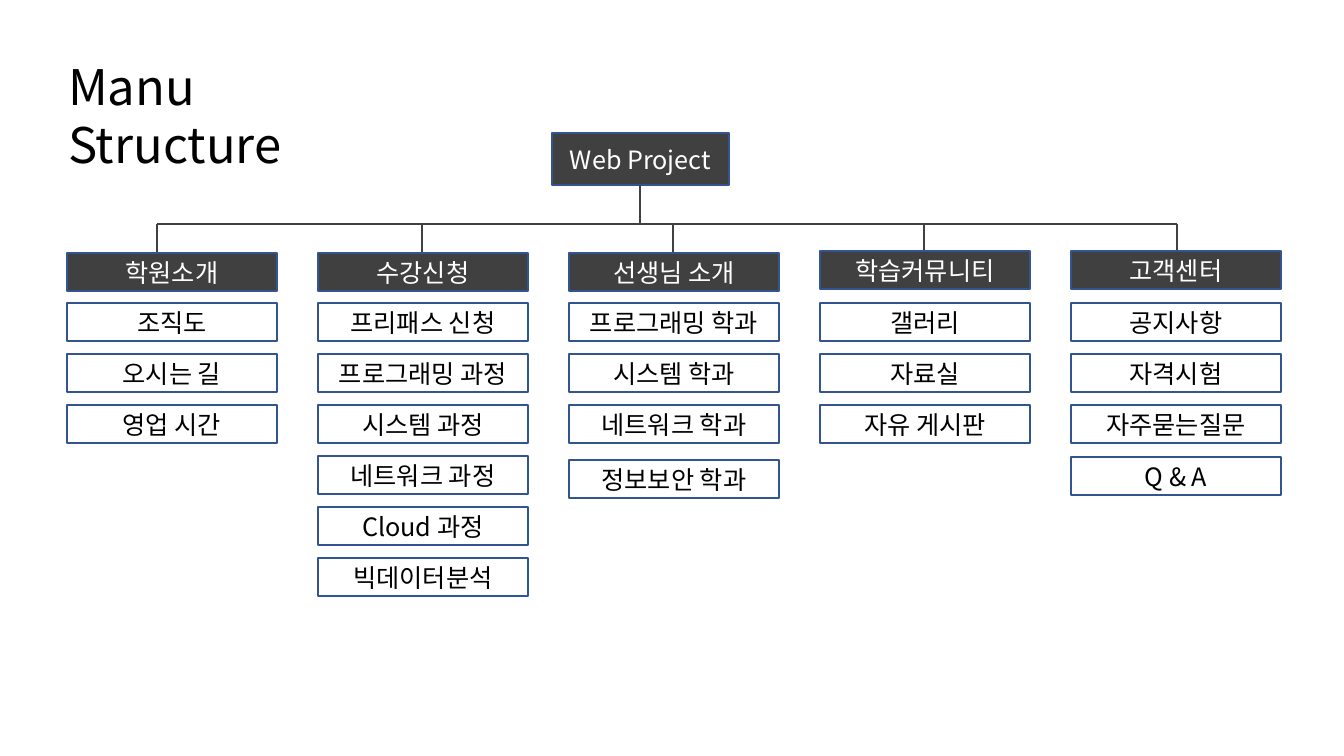
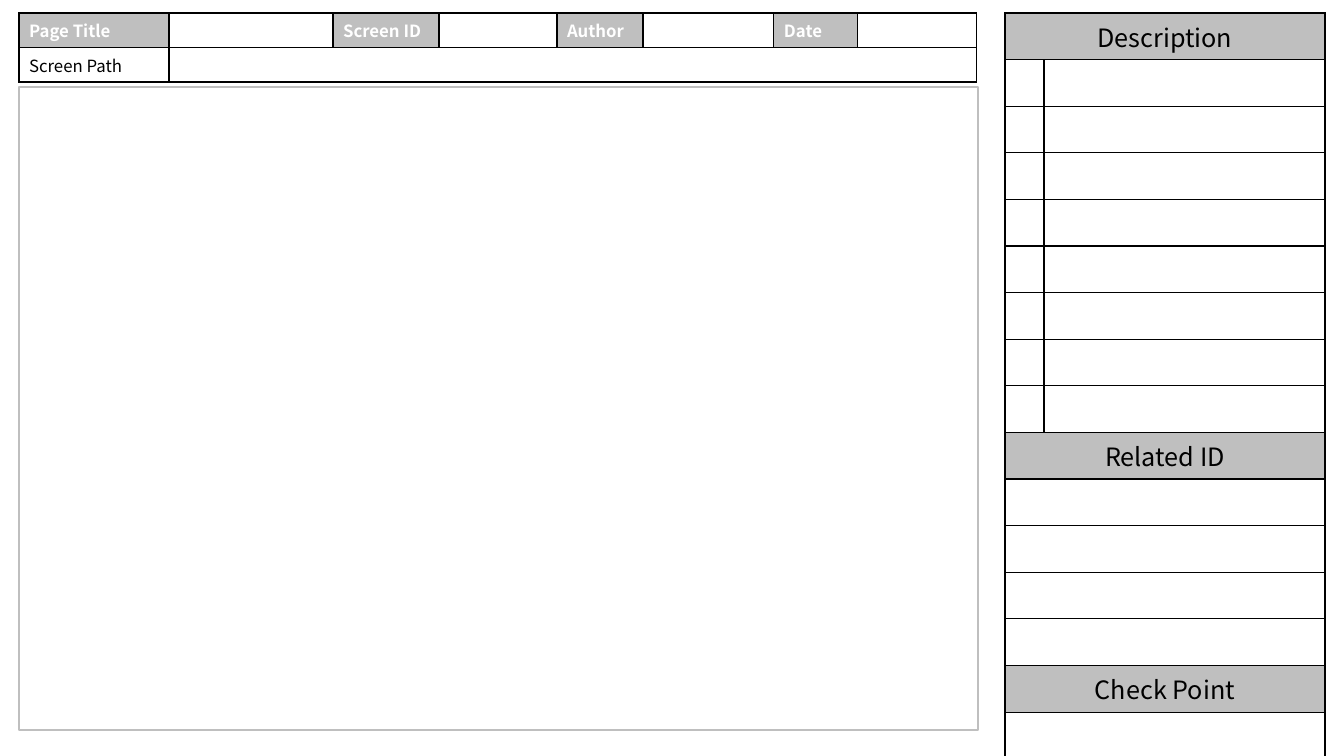
from lxml import etree
from pptx import Presentation
from pptx.dml.color import RGBColor
from pptx.enum.shapes import MSO_CONNECTOR, MSO_SHAPE
from pptx.enum.text import MSO_ANCHOR, MSO_AUTO_SIZE, PP_ALIGN
from pptx.oxml.ns import qn
from pptx.util import Emu, Pt

RECT = MSO_SHAPE.RECTANGLE
LINE = MSO_CONNECTOR.STRAIGHT
TOP, MIDDLE = MSO_ANCHOR.TOP, MSO_ANCHOR.MIDDLE
LEFT, CENTER = PP_ALIGN.LEFT, PP_ALIGN.CENTER
NO_FIT = MSO_AUTO_SIZE.NONE

FONT = "Noto Sans CJK KR"
BLACK = RGBColor(0x00, 0x00, 0x00)
WHITE = RGBColor(0xFF, 0xFF, 0xFF)
DARK = RGBColor(0x40, 0x40, 0x40)
GRAY = RGBColor(0xBF, 0xBF, 0xBF)
BLUE = RGBColor(0x32, 0x54, 0x91)

# Menu columns: name, stem x, head top, items
MENU = [
    ("학원소개", 157, 253, ["조직도", "오시는 길", "영업 시간"]),
    ("수강신청", 422, 253, ["프리패스 신청", "프로그래밍 과정", "시스템 과정",
                        "네트워크 과정", "Cloud 과정", "빅데이터분석"]),
    ("선생님 소개", 673, 253, ["프로그래밍 학과", "시스템 학과",
                          "네트워크 학과", "정보보안 학과"]),
    ("학습커뮤니티", 924, 251, ["갤러리", "자료실", "자유 게시판"]),
    ("고객센터", 1177, 251, ["공지사항", "자격시험", "자주묻는질문", "Q & A"]),
]
SHIFT = {"정보보안 학과": 4, "Q & A": 1}  # items set a little lower
COL_X, COL_GAP, COL_W = 67, 251, 210
ITEM_Y, ITEM_GAP, ITEM_H = 303, 51, 38
BAR_Y = 224

# Form tables
INFO_COLS = [150, 164, 106, 118, 86, 131, 84, 119]
INFO_HEADS = ["Page Title", "Screen ID", "Author", "Date"]
SIDE_COLS = [39, 281]
SIDE_ROWS = [42] * 13 + [47] + [42] * 3
SIDE_HEADS = {0: "Description", 9: "Related ID", 14: "Check Point"}


def px(num):
    return Emu(round(num * 914400 / 100.8))


def box(*nums):
    return [px(num) for num in nums]


def style(para, size, color, align=LEFT, bold=False):
    para.alignment = align
    font = para.font
    font.name, font.size, font.bold = FONT, Pt(size), bold
    font.color.rgb = color
    props = para._p.pPr.find(qn("a:defRPr"))
    etree.SubElement(props, qn("a:ea"), typeface=FONT)


def add_rect(slide, area, fill=None, line=BLUE):
    shape = slide.shapes.add_shape(RECT, *box(*area))
    shape.shadow.inherit = False
    if fill is None:
        shape.fill.background()
    else:
        shape.fill.solid()
        shape.fill.fore_color.rgb = fill
    shape.line.color.rgb = line
    shape.line.width = Pt(1)
    return shape


def add_node(slide, text, area, fill=None):
    frame = add_rect(slide, area, fill).text_frame
    frame.vertical_anchor = MIDDLE
    frame.text = text
    style(frame.paragraphs[0], 18, WHITE if fill else BLACK, CENTER)


def add_line(slide, *ends):
    line = slide.shapes.add_connector(LINE, *box(*ends))
    line.line.color.rgb = DARK
    line.line.width = Pt(1.5)
    etree.SubElement(line._element.spPr, qn("a:effectLst"))


def add_title(slide, text, area):
    title = slide.shapes.title
    title.left, title.top, title.width, title.height = box(*area)
    frame = title.text_frame
    frame.text = text
    frame.word_wrap = True
    frame.auto_size = NO_FIT
    frame.vertical_anchor = TOP
    style(frame.paragraphs[0], 35, BLACK)


def add_grid(slide, left, top, cols, rows):
    frame = slide.shapes.add_table(
        len(rows), len(cols), *box(left, top, sum(cols), sum(rows)))
    table = frame.table
    table.first_row = table.horz_banding = False
    for col, width in zip(table.columns, cols):
        col.width = px(width)
    for row, height in zip(table.rows, rows):
        row.height = px(height)
    return table


def add_edges(cell):
    props = cell._tc.get_or_add_tcPr()
    for pos, side in enumerate(("lnL", "lnR", "lnT", "lnB")):
        edge = etree.Element(qn("a:" + side), w=str(Pt(1)))
        fill = etree.SubElement(edge, qn("a:solidFill"))
        etree.SubElement(fill, qn("a:srgbClr"), val=str(BLACK))
        props.insert(pos, edge)


def set_cell(cell, text, size, color=BLACK, fill=WHITE, align=LEFT, bold=False):
    cell.fill.solid()
    cell.fill.fore_color.rgb = fill
    add_edges(cell)
    cell.text = text
    para = cell.text_frame.paragraphs[0]
    if text:
        style(para, size, color, align, bold)
    else:
        # An empty cell takes its line height from the end mark
        end = etree.SubElement(para._p, qn("a:endParaRPr"), sz=str(size * 100))
        for tag in ("a:latin", "a:ea"):
            etree.SubElement(end, qn(tag), typeface=FONT)


def add_info(slide):
    table = add_grid(slide, 19, 13, INFO_COLS, [31, 31])
    for col in range(len(INFO_COLS)):
        if col % 2 == 0:
            set_cell(table.cell(0, col), INFO_HEADS[col // 2], 12,
                     WHITE, GRAY, bold=True)
        else:
            set_cell(table.cell(0, col), "", 12)
        set_cell(table.cell(1, col), "" if col else "Screen Path", 12)
    table.cell(1, 1).merge(table.cell(1, len(INFO_COLS) - 1))


def add_side(slide):
    table = add_grid(slide, 1005, 13, SIDE_COLS, SIDE_ROWS)
    for row in range(len(SIDE_ROWS)):
        head = SIDE_HEADS.get(row, "")
        first, last = table.cell(row, 0), table.cell(row, 1)
        fill = GRAY if head else WHITE
        set_cell(first, head, 18, fill=fill, align=CENTER)
        set_cell(last, "", 18, fill=fill)
        if head or row > 9:
            first.merge(last)


def build_menu(deck):
    slide = deck.slides.add_slide(deck.slide_layouts[5])
    add_title(slide, "Manu Structure", (58, 51, 300, 130))
    # Root and branches
    add_node(slide, "Web Project", (552, 133, 177, 52), DARK)
    add_line(slide, 640, 185, 640, BAR_Y)
    add_line(slide, MENU[0][1], BAR_Y, MENU[-1][1], BAR_Y)
    # Columns
    for col, (name, stem, top, items) in enumerate(MENU):
        left = COL_X + col * COL_GAP
        add_line(slide, stem, BAR_Y, stem, top)
        add_node(slide, name, (left, top, COL_W, ITEM_H), DARK)
        for row, item in enumerate(items):
            y = ITEM_Y + row * ITEM_GAP + SHIFT.get(item, 0)
            add_node(slide, item, (left, y, COL_W, ITEM_H))


def build_form(deck):
    slide = deck.slides.add_slide(deck.slide_layouts[6])
    add_info(slide)
    add_side(slide)
    add_rect(slide, (19, 87, 959, 643), line=GRAY)


def main():
    deck = Presentation()
    deck.slide_width, deck.slide_height = box(1344, 756)
    build_menu(deck)
    build_form(deck)
    deck.save("out.pptx")


if __name__ == "__main__":
    main()
